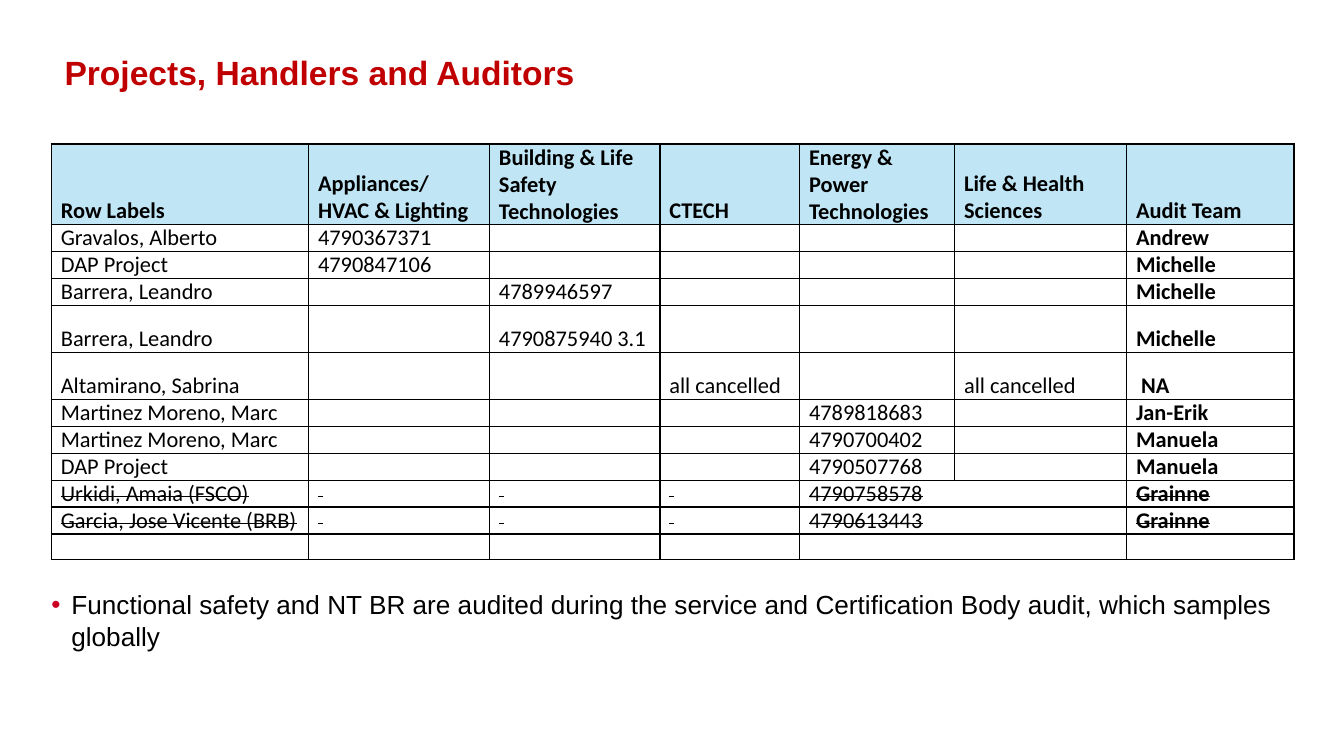
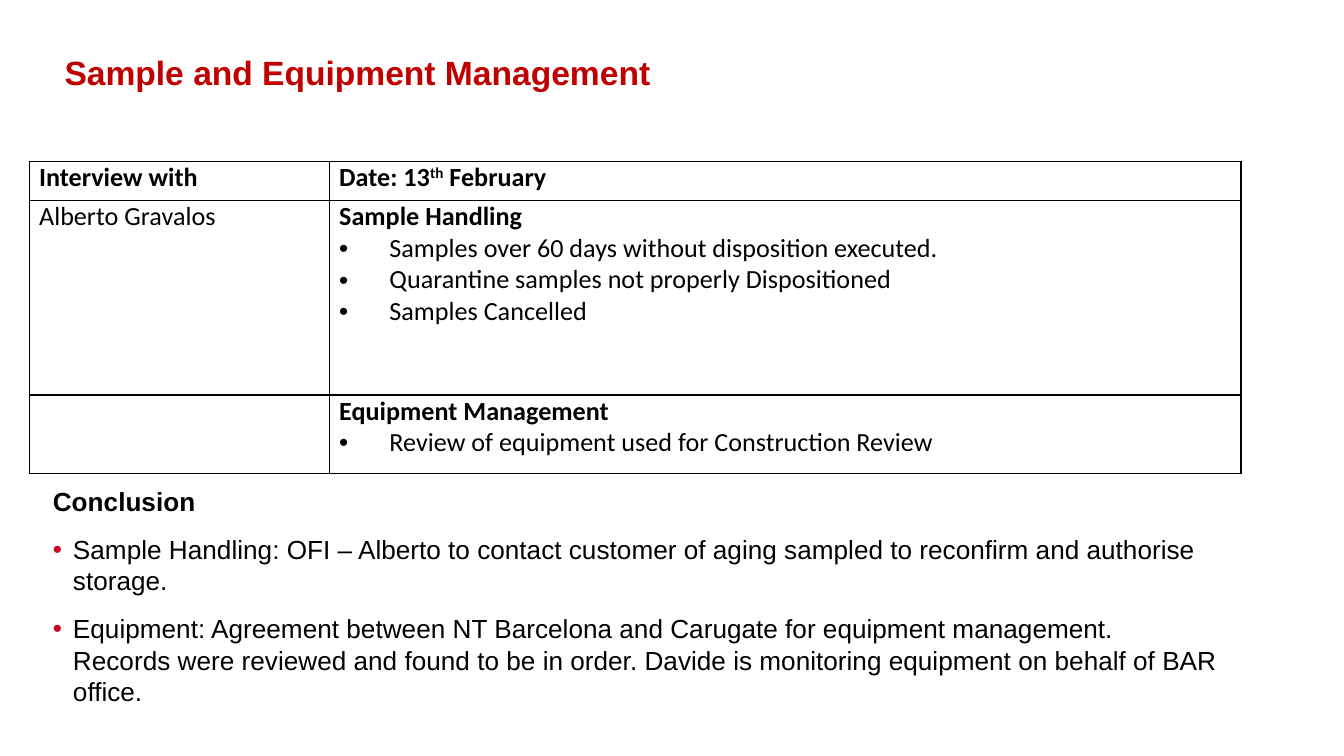
from lxml import etree
from pptx import Presentation
from pptx import util as u
from pptx.dml.color import RGBColor
from pptx.enum import shapes, text
from pptx.oxml import ns

TITLE_RED = RGBColor(0xC0, 0x00, 0x00)
BULLET_RED = RGBColor(0xCA, 0x01, 0x23)
HEADER_BLUE = RGBColor(0xC0, 0xE6, 0xF5)
BLACK = RGBColor(0x00, 0x00, 0x00)
WHITE = RGBColor(0xFF, 0xFF, 0xFF)
EDGE = u.Cm(0.97)


def write(frame, words, size=14, font="Arial", color=BLACK, bold=False,
          strike=False, bullet=None, indent=0.38, before=0, spacing=None):
    """Add one paragraph; words between ^ marks are superscript."""
    first = frame.paragraphs[0]
    fresh = len(frame.paragraphs) == 1 and not first.runs
    para = first if fresh else frame.add_paragraph()
    para.alignment = text.PP_ALIGN.LEFT
    if before and not fresh:
        para.space_before = u.Pt(before)
    if spacing:
        para.line_spacing = spacing
    if bullet is not None:
        props = para._p.get_or_add_pPr()
        props.set("marL", str(u.Cm(indent)))
        props.set("indent", str(-u.Cm(indent)))
        tint = etree.SubElement(props, ns.qn("a:buClr"))
        etree.SubElement(tint, ns.qn("a:srgbClr"), val=str(bullet))
        etree.SubElement(props, ns.qn("a:buFont"), typeface="Arial")
        etree.SubElement(props, ns.qn("a:buChar"), char="•")
    for i, part in enumerate(words.split("^")):
        run = para.add_run()
        run.text = part
        run.font.size, run.font.name, run.font.bold = u.Pt(size), font, bold
        run.font.color.rgb = color
        if i % 2:
            run._r.get_or_add_rPr().set("baseline", "30000")
        if strike:
            run._r.get_or_add_rPr().set("strike", "sngStrike")
    if not words:
        first._p.remove(first.runs[0]._r)
        etree.SubElement(first._p, ns.qn("a:endParaRPr"), sz="1000")


def add_grid(slide, left, top, widths, heights):
    """Add a plain table with thin black cell borders."""
    grid = slide.shapes.add_table(len(heights), len(widths), u.Cm(left), u.Cm(top),
                                  u.Cm(sum(widths)), u.Cm(sum(heights))).table
    grid.first_row = grid.horz_banding = False
    for column, width in zip(grid.columns, widths):
        column.width = u.Cm(width)
    for row, height in zip(grid.rows, heights):
        row.height = u.Cm(height)
    for cell in grid.iter_cells():
        cell.margin_left = cell.margin_right = u.Cm(0.18)
        cell.margin_top = cell.margin_bottom = 0
        for side in ("lnL", "lnR", "lnT", "lnB"):
            line = etree.SubElement(cell._tc.get_or_add_tcPr(), ns.qn("a:" + side),
                                    w=str(u.Pt(1)))
            paint = etree.SubElement(line, ns.qn("a:solidFill"))
            etree.SubElement(paint, ns.qn("a:srgbClr"), val=str(BLACK))
        cell.fill.background()
    return grid


deck = Presentation()
deck.slide_width, deck.slide_height = u.Cm(25.4), u.Cm(14.29)

# Slides with their titles and notes under the table
pages = [
    ("Projects, Handlers and Auditors", (0.97, 11.13, 23.95, 1.19), None,
     ["Functional safety and NT BR are audited during the service and Certification "
      "Body audit, which samples globally"]),
    ("Sample and Equipment Management", (1, 9.17, 22.02, 3.63), "Conclusion",
     ["Sample Handling: OFI – Alberto to contact customer of aging sampled to "
      "reconfirm and authorise storage.",
      "Equipment: Agreement between NT Barcelona and Carugate for equipment "
      "management. Records were reviewed and found to be in order. Davide is "
      "monitoring equipment on behalf of BAR office."]),
]
for title, place, heading, remarks in pages:
    slide = deck.slides.add_slide(deck.slide_layouts[6])
    band = slide.shapes.add_shape(shapes.MSO_SHAPE.RECTANGLE, EDGE, u.Cm(0.94),
                                  u.Cm(23.5), u.Cm(1.14))
    band.shadow.inherit = False
    band.fill.solid()
    band.fill.fore_color.rgb = WHITE
    band.line.fill.background()
    band.text_frame.vertical_anchor = text.MSO_ANCHOR.TOP
    write(band.text_frame, title, size=18, color=TITLE_RED, bold=True, spacing=0.9)

    notes = slide.shapes.add_textbox(*map(u.Cm, place)).text_frame
    notes.word_wrap = True
    notes.margin_left = notes.margin_right = notes.margin_top = notes.margin_bottom = 0
    if heading:
        write(notes, heading, bold=True)
    for remark in remarks:
        write(notes, remark, bullet=BULLET_RED, before=9)

# Projects by handler: name, column of the project, project, auditor
headers = ["Row Labels", "Appliances/HVAC & Lighting",
           "Building & Life Safety Technologies", "CTECH",
           "Energy & Power Technologies", "Life & Health Sciences", "Audit Team"]
APPLIANCES, BUILDING, CTECH, ENERGY, HEALTH, AUDITOR = range(1, 7)
projects = [
    ("Gravalos, Alberto", {APPLIANCES: "4790367371"}, "Andrew"),
    ("DAP Project", {APPLIANCES: "4790847106"}, "Michelle"),
    ("Barrera, Leandro", {BUILDING: "4789946597"}, "Michelle"),
    ("Barrera, Leandro", {BUILDING: "4790875940 3.1"}, "Michelle"),
    ("Altamirano, Sabrina", {CTECH: "all cancelled", HEALTH: "all cancelled"}, " NA"),
    ("Martinez Moreno, Marc", {ENERGY: "4789818683"}, "Jan-Erik"),
    ("Martinez Moreno, Marc", {ENERGY: "4790700402"}, "Manuela"),
    ("DAP Project", {ENERGY: "4790507768"}, "Manuela"),
    ("Urkidi, Amaia (FSCO)", {ENERGY: "4790758578"}, "Grainne"),
    ("Garcia, Jose Vicente (BRB)", {ENERGY: "4790613443"}, "Grainne"),
    ("", {}, ""),
]
dropped = (9, 10)
schedule = add_grid(deck.slides[0], 0.97, 2.72,
                    [4.86, 3.42, 3.22, 2.64, 2.93, 3.25, 3.17],
                    [1.32] + [0.46] * 3 + [0.89] * 2 + [0.46] * 4 + [0.15, 0.48])
for row in (*dropped, 11):
    schedule.cell(row, ENERGY).merge(schedule.cell(row, HEALTH))
lines = [headers] + [[name] + [found.get(c, "") for c in range(APPLIANCES, AUDITOR)] + [auditor]
                     for name, found, auditor in projects]
for r, line in enumerate(lines):
    for c, entry in enumerate(line):
        cell = schedule.cell(r, c)
        cell.vertical_anchor = text.MSO_ANCHOR.BOTTOM
        if r == 0:
            cell.fill.solid()
            cell.fill.fore_color.rgb = HEADER_BLUE
        if r in dropped and c in (APPLIANCES, BUILDING, CTECH):
            entry = " "  # struck-out blank
        write(cell.text_frame, entry, size=12, font="Calibri",
              bold=r == 0 or c == AUDITOR, strike=r in dropped)

# Interview topics: left cell, heading, points
interview = [
    ("Interview with", "Date: 13^th^ February", []),
    ("Alberto Gravalos", "Sample Handling",
     ["Samples over 60 days without disposition executed.",
      "Quarantine samples not properly Dispositioned", "Samples Cancelled"]),
    ("", "Equipment Management", ["Review of equipment used for Construction Review"]),
]
topics = add_grid(deck.slides[1], 0.56, 3.05, [5.67, 17.22], [0.74, 3.68, 1.48])
for r, (person, heading, points) in enumerate(interview):
    write(topics.cell(r, 0).text_frame, person, font="Calibri", bold=r == 0)
    topic = topics.cell(r, 1).text_frame
    write(topic, heading, font="Calibri", bold=True)
    for point in points:
        write(topic, point, font="Calibri", bullet=BLACK, indent=0.95)

deck.save("out.pptx")
